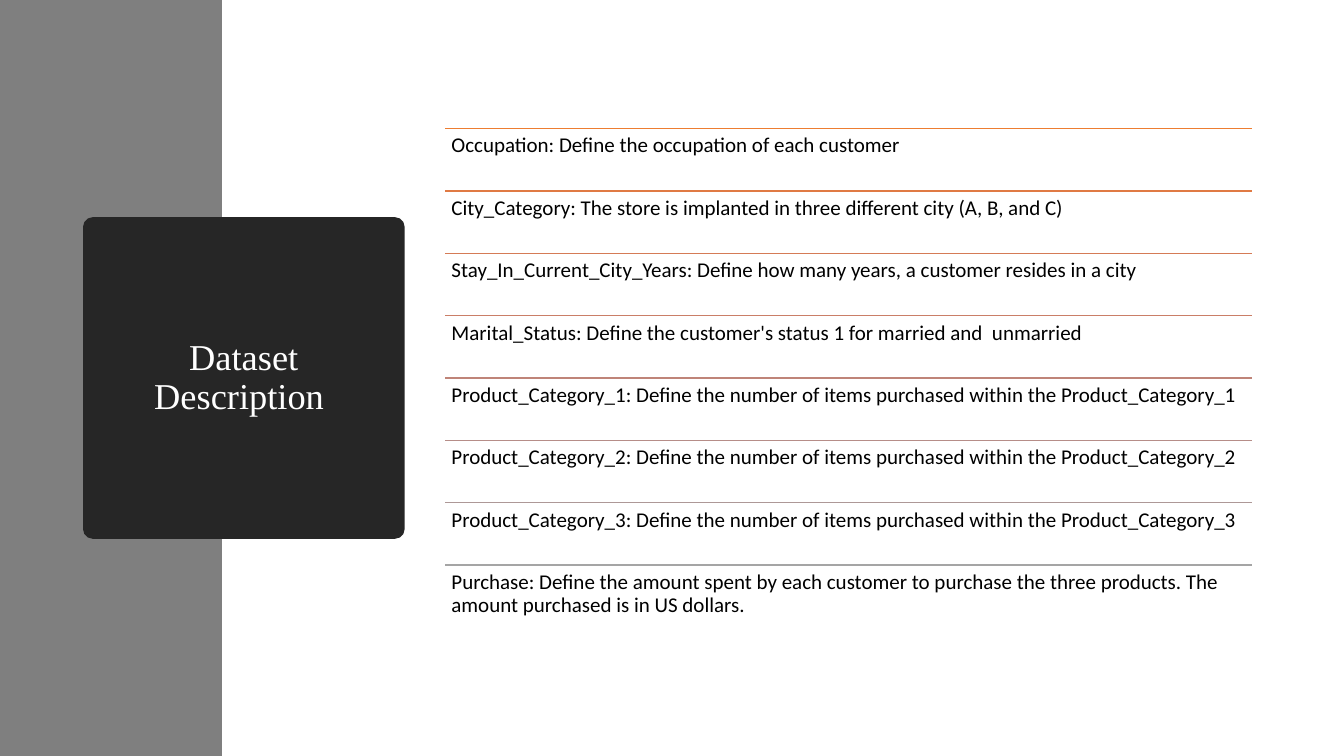
from lxml import etree
from pptx import Presentation
from pptx import util as u
from pptx.dml.color import RGBColor
from pptx.enum import shapes, text
from pptx.oxml.ns import qn

Pt = u.Pt


def color(code):
    return RGBColor.from_string(code)


class Deck:
    """Holds the style and the current slide."""
    sans, serif = "Calibri", "Times New Roman"
    ink, white, dark, gray = "000000", "FFFFFF", "262626", "7F7F7F"

    def __init__(self, wide, high):
        self.prs = Presentation()
        self.prs.slide_width, self.prs.slide_height = Pt(wide), Pt(high)
        self.slide = self.prs.slides.add_slide(self.prs.slide_layouts[6])

    def shape(self, kind, x, y, w, h, fill):
        item = self.slide.shapes.add_shape(kind, Pt(x), Pt(y), Pt(w), Pt(h))
        item.shadow.inherit = False
        item.fill.solid()
        item.fill.fore_color.rgb = color(fill)
        item.line.fill.background()
        return item

    def rule(self, x, y, w, tint):
        line = self.slide.shapes.add_connector(
            shapes.MSO_CONNECTOR.STRAIGHT, Pt(x), Pt(y), Pt(x + w), Pt(y))
        line.line.color.rgb = color(tint)
        line.line.width = Pt(1)
        etree.SubElement(line._element.spPr, qn("a:effectLst"))

    def box(self, x, y, w, h):
        return self.slide.shapes.add_textbox(Pt(x), Pt(y), Pt(w), Pt(h))

    def label(self, item, words, size, face, tint, align, anchor, inset):
        frame = item.text_frame
        frame.word_wrap = True
        frame.vertical_anchor = anchor
        frame.margin_left = frame.margin_right = Pt(inset)
        frame.margin_top = frame.margin_bottom = Pt(inset)
        para = frame.paragraphs[0]
        para.text = words
        para.alignment = align
        para.line_spacing = 0.9
        para.font.size = Pt(size)
        para.font.name = face
        para.font.color.rgb = color(tint)


deck = Deck(960, 540)
kind, align, anchor = shapes.MSO_SHAPE, text.PP_ALIGN, text.MSO_ANCHOR

# Side band and title card
deck.shape(kind.RECTANGLE, 0, 0, 158.5, 540, deck.gray)
card = deck.shape(kind.ROUNDED_RECTANGLE, 59.3, 155.1, 229.75, 229.75, deck.dark)
card.adjustments[0] = 0.03
deck.label(card, "Dataset Description ", 26, deck.serif, deck.white,
           align.CENTER, anchor.MIDDLE, 14)

# Field list: a rule above each entry
count = "Product_Category_{0}: Define the number of items purchased within the Product_Category_{0}"
fields = [
    ("ED7D31", "Occupation: Define the occupation of each customer "),
    ("E07A44", "City_Category: The store is implanted in three different city (A, B, and C)"),
    ("D57B56", "Stay_In_Current_City_Years: Define how many years, a customer resides in a city"),
    ("CA7E67", "Marital_Status: Define the customer's status 1 for married and  unmarried"),
    ("BF8478", count.format(1)),
    ("B68D88", count.format(2)),
    ("AD9897", count.format(3)),
    ("A5A5A5", "Purchase: Define the amount spent by each customer to purchase "
               "the three products. The amount purchased is in US dollars."),
]
left, top, width, pitch = 318, 91.8, 576, 44.55
for row, (tint, words) in enumerate(fields):
    y = top + row * pitch
    deck.rule(left, y, width, tint)
    deck.label(deck.box(left, y, width, pitch), words, 15, deck.sans, deck.ink,
               align.LEFT, anchor.TOP, 4.5)

deck.prs.save("out.pptx")
